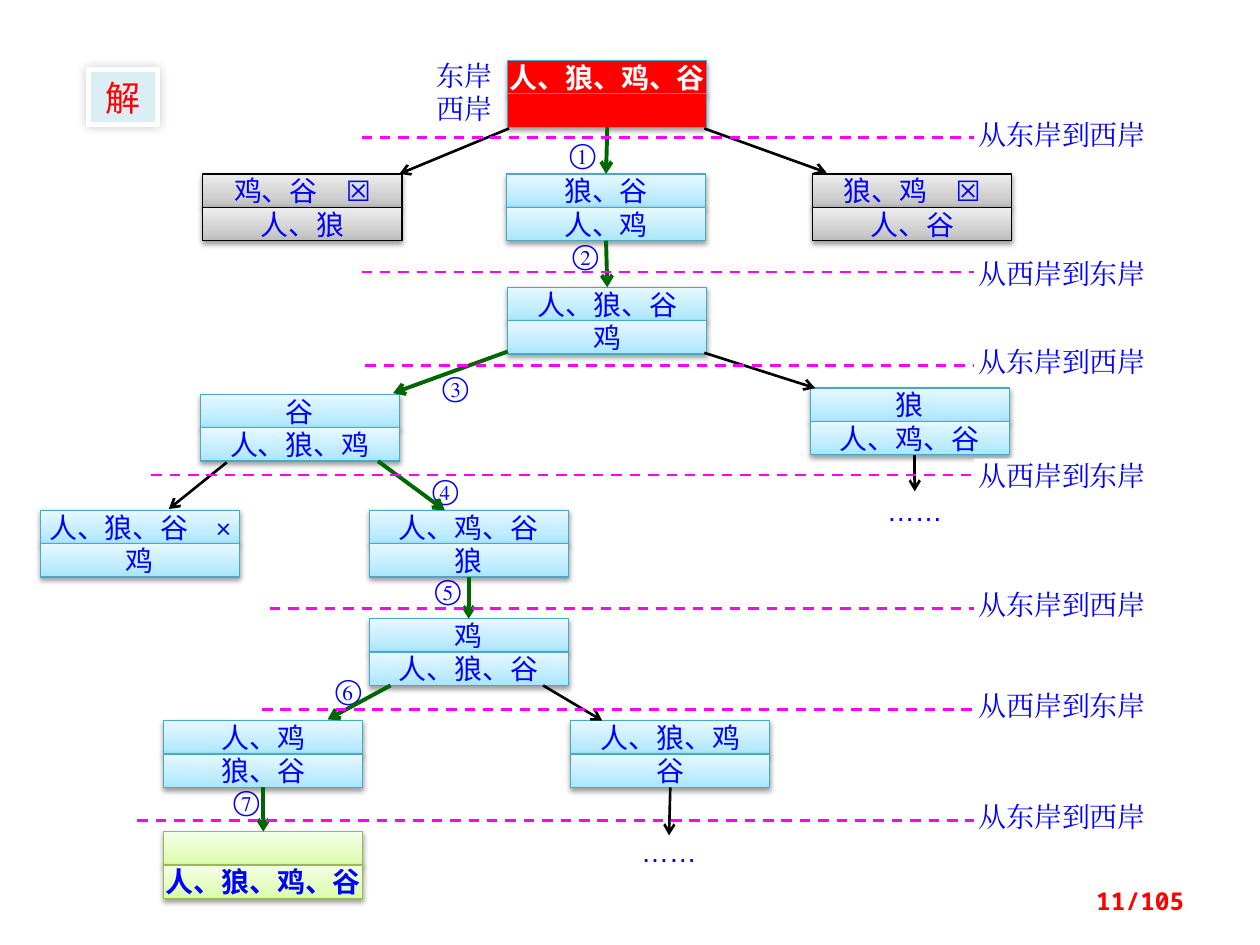
import copy

import pptx
import pptx.dml.color
import pptx.enum.dml
import pptx.enum.shapes
import pptx.enum.text
import pptx.oxml
import pptx.oxml.ns
import pptx.util

Inches = pptx.util.Inches
ALIGN = pptx.enum.text.PP_ALIGN

THEME = {
    "text": "0000FF", "accent": "FF0000", "paper": "FFFFFF", "badge": "DBEEF4",
    "step": ("006600", 2.25), "branch": ("000000", 1.5), "divider": ("FF00FF", 1.5),
    "han": "Noto Sans CJK SC", "state": "Calibri", "label": "Times New Roman",
    "dots": "Arial", "page": "Noto Sans Mono",
    "badge_size": 20, "size": 16, "page_size": 14,
    # colour, opacity %, blur pt, distance pt, direction in degrees
    "state_shadow": ("000000", 38, 3.1, 1.6, 90),
    "badge_shadow": ("000000", 20, 6, 0, 225),
}
STYLES = {  # fill (one colour or three gradient stops), border
    "start": ("FF0000", "46AAC5"),
    "open": (("A7E6FF", "C1EDFF", "E7F8FF"), "46AAC5"),
    "dead": (("BDBDBD", "D1D1D1", "EEEEEE"), "000000"),
    "goal": (("DAFDA7", "E4FCC2", "F5FFE7"), "98B955"),
}
STOPS = (0, 0.35, 1)
STATE_WIDTH, ROW = 1.58, 0.265

# name: left, top, style, east bank, west bank
STATES = {
    "start": (4.03, 0.48, "start", "人、狼、鸡、谷", ""),
    "wolf over": (1.61, 1.38, "dead", "鸡、谷　☒", "人、狼"),
    "chicken over": (4.02, 1.38, "open", "狼、谷", "人、鸡"),
    "grain over": (6.45, 1.38, "dead", "狼、鸡　☒", "人、谷"),
    "man back": (4.03, 2.28, "open", "人、狼、谷", "鸡"),
    "grain left": (1.59, 3.13, "open", "谷", "人、狼、鸡"),
    "wolf left": (6.43, 3.08, "open", "狼", "人、鸡、谷"),
    "chicken back": (2.93, 4.05, "open", "人、鸡、谷", "狼"),
    "repeated": (0.32, 4.05, "open", "人、狼、谷　×", "鸡"),
    "chicken left": (2.93, 4.91, "open", "鸡", "人、狼、谷"),
    "man and chicken": (1.3, 5.72, "open", "人、鸡", "狼、谷"),
    "goal": (1.3, 6.6, "goal", "", "人、狼、鸡、谷"),
    "wolf back": (4.53, 5.72, "open", "人、狼、鸡", "谷"),
}
STEP_NUMBERS = [("①", 4.5, 1.1), ("②", 4.52, 1.9), ("③", 3.49, 2.95), ("④", 3.41, 3.76),
                ("⑤", 3.43, 4.56), ("⑥", 2.64, 5.35), ("⑦", 1.83, 6.23)]
# kind, start, end; a state name means the middle of its bottom or top side
ARROWS = [
    ("step", "start", "chicken over"),
    ("branch", (4.04, 1.02), (3.17, 1.38)),
    ("branch", (5.59, 1.02), (6.56, 1.37)),
    ("step", "chicken over", "man back"),
    ("step", (4.03, 2.79), (3.12, 3.12)),
    ("branch", (5.59, 2.8), (6.47, 3.08)),
    ("branch", (1.8, 3.67), (1.34, 4.04)),
    ("step", (3, 3.66), (3.53, 4.05)),
    ("step", "chicken back", "chicken left"),
    ("step", (3.1, 5.44), (2.6, 5.71)),
    ("branch", (4.31, 5.44), (4.78, 5.72)),
    ("step", "man and chicken", "goal"),
    ("branch", "wolf back", (5.31, 6.63)),
    ("branch", (7.26, 3.61), (7.26, 3.9)),
]
DOTS = [(4.91, 6.63), (6.86, 3.92)]
DIRECTIONS = ("从东岸到西岸", "从西岸到东岸")
# line start, line height, label top; directions alternate
CROSSINGS = [(2.87, 1.09, 0.94), (2.87, 2.16, 2.04), (2.9, 2.9, 2.74), (1.2, 3.77, 3.64),
             (2.14, 4.83, 4.67), (2.08, 5.63, 5.47), (1.09, 6.51, 6.35)]
CROSSING_END = 7.73
BANKS = [("东岸", 3.39, 0.47), ("西岸", 3.39, 0.73)]

presentation = pptx.Presentation()
presentation.slide_width, presentation.slide_height = Inches(10), Inches(7.5)
slide = presentation.slides.add_slide(presentation.slide_layouts[6])


def rgb(value):
    return pptx.dml.color.RGBColor.from_string(value)


def assign(target, values):
    for name, value in values.items():
        setattr(target, name, value)


def write(shape, text, font, size=THEME["size"], color=THEME["text"], bold=False,
          align=ALIGN.CENTER, margin=0):
    frame = shape.text_frame
    assign(frame, {"word_wrap": True, "vertical_anchor": pptx.enum.text.MSO_ANCHOR.MIDDLE})
    if margin is not None:
        assign(frame, {f"margin_{side}": Inches(margin)
                       for side in ("left", "top", "right", "bottom")})
    paragraph = frame.paragraphs[0]
    paragraph.alignment = align
    if text:
        run = paragraph.add_run()
        run.text = text
        assign(run.font, {"name": font, "size": pptx.util.Pt(size), "bold": bold})
        run.font.color.rgb = rgb(color)
        east_asian = pptx.oxml.parse_xml(
            f'<a:ea {pptx.oxml.ns.nsdecls("a")} typeface="{font}"/>')
        run._r.get_or_add_rPr().append(east_asian)


def paint(shape, fill):
    if isinstance(fill, str):
        shape.fill.solid()
        shape.fill.fore_color.rgb = rgb(fill)
        return
    shape.fill.gradient()
    shape.fill.gradient_angle = 90
    stop_list = shape._element.spPr.find(".//" + pptx.oxml.ns.qn("a:gsLst"))
    stop_list.append(copy.deepcopy(stop_list[-1]))
    for stop, position, color in zip(shape.fill.gradient_stops, STOPS, fill):
        stop.position = position
        stop.color.rgb = rgb(color)


def add_box(left, top, width, height, fill, border=None, border_width=0.75, shadow=None):
    shape = slide.shapes.add_shape(pptx.enum.shapes.MSO_SHAPE.RECTANGLE, Inches(left),
                                   Inches(top), Inches(width), Inches(height))
    paint(shape, fill)
    if border:
        shape.line.color.rgb = rgb(border)
        shape.line.width = pptx.util.Pt(border_width)
    else:
        shape.line.fill.background()
    shape.shadow.inherit = False
    if shadow:
        color, opacity, blur, distance, direction = shadow
        shape._element.spPr.find(pptx.oxml.ns.qn("a:effectLst")).append(pptx.oxml.parse_xml(
            f'<a:outerShdw {pptx.oxml.ns.nsdecls("a")} blurRad="{pptx.util.Pt(blur)}" '
            f'dist="{pptx.util.Pt(distance)}" dir="{direction * 60000}" rotWithShape="0">'
            f'<a:srgbClr val="{color}"><a:alpha val="{opacity * 1000}"/></a:srgbClr>'
            '</a:outerShdw>'))
    return shape


def add_label(text, left, top, width, height=0.26, font=THEME["label"]):
    write(add_box(left, top, width, height, THEME["paper"]), text, font)


def add_line(kind, start, end, arrow=True):
    line = slide.shapes.add_connector(pptx.enum.shapes.MSO_CONNECTOR.STRAIGHT,
                                      *(Inches(value) for value in (*start, *end)))
    color, width = THEME[kind]
    line.line.color.rgb = rgb(color)
    line.line.width = pptx.util.Pt(width)
    properties = line._element.spPr
    namespace = pptx.oxml.ns.nsdecls("a")
    if arrow:
        properties.find(pptx.oxml.ns.qn("a:ln")).append(
            pptx.oxml.parse_xml(f'<a:tailEnd {namespace} type="arrow"/>'))
    else:
        line.line.dash_style = pptx.enum.dml.MSO_LINE.DASH
    properties.append(pptx.oxml.parse_xml(f"<a:effectLst {namespace}/>"))
    return line


# Badge
badge = add_box(0.7, 0.55, 0.55, 0.44, THEME["badge"], THEME["paper"], 3, THEME["badge_shadow"])
write(badge, "解", THEME["han"], THEME["badge_size"], THEME["accent"], margin=None)
badge.text_frame.auto_size = pptx.enum.text.MSO_AUTO_SIZE.SHAPE_TO_FIT_TEXT

# Step numbers
for number, left, top in STEP_NUMBERS:
    add_label(number, left, top, 0.25, 0.24)

# States: east bank above west bank
rows = {}
for name, (left, top, style, *banks) in STATES.items():
    rows[name] = []
    for index, text in enumerate(banks):
        box = add_box(left, top + index * ROW, STATE_WIDTH, ROW, *STYLES[style],
                      shadow=THEME["state_shadow"])
        write(box, text, THEME["state"], bold=style in ("start", "goal"),
              color=THEME["paper"] if style == "start" else THEME["text"])
        rows[name].append(box)

# Unexplored branches
for left, top in DOTS:
    add_label("……", left, top, 0.8, font=THEME["dots"])

# Moves between states
for kind, start, end in ARROWS:
    arrow = add_line(kind, *((0, 0) if isinstance(point, str) else point
                             for point in (start, end)))
    if isinstance(start, str):
        arrow.begin_connect(rows[start][1], 2)
    if isinstance(end, str):
        arrow.end_connect(rows[end][0], 0)

# River crossings
for index, (left, height, label_top) in enumerate(CROSSINGS):
    add_label(DIRECTIONS[index % 2], CROSSING_END, label_top, 1.4)
    add_line("divider", (left, height), (CROSSING_END, height), arrow=False)

# Bank names
for text, left, top in BANKS:
    add_label(text, left, top, 0.6)

# Page number
page = slide.shapes.add_textbox(Inches(7.17), Inches(6.95), Inches(2.33), Inches(0.4))
write(page, "11/105", THEME["page"], THEME["page_size"], THEME["accent"], True,
      ALIGN.RIGHT, None)

presentation.save("out.pptx")
